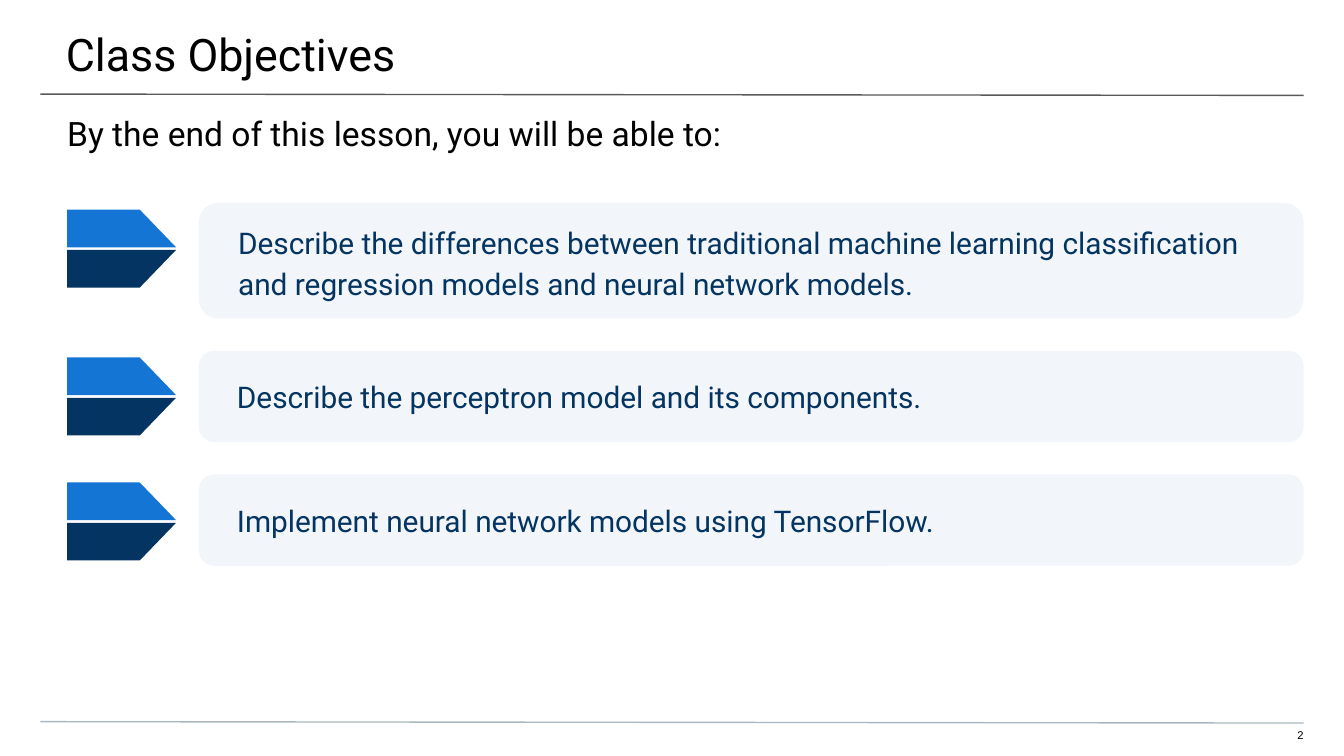
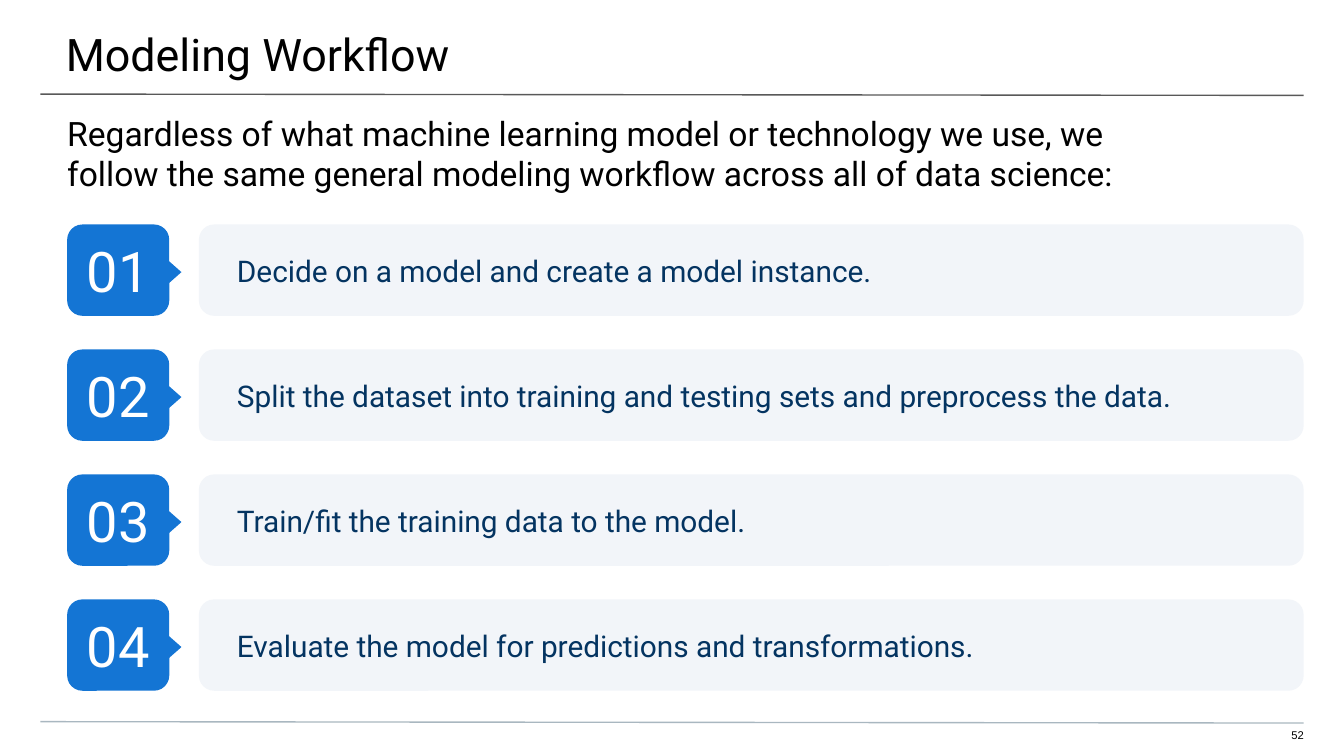
from dataclasses import dataclass

from lxml import etree
from pptx import Presentation
from pptx.dml.color import RGBColor
from pptx.enum.shapes import MSO_CONNECTOR, MSO_SHAPE
from pptx.enum.text import MSO_ANCHOR, PP_ALIGN
from pptx.oxml.ns import qn
from pptx.util import Emu, Pt

STRAIGHT = MSO_CONNECTOR.STRAIGHT
ROUNDED = MSO_SHAPE.ROUNDED_RECTANGLE
TRIANGLE = MSO_SHAPE.FLOWCHART_EXTRACT
TOP, MIDDLE = MSO_ANCHOR.TOP, MSO_ANCHOR.MIDDLE
LEFT, CENTER, RIGHT = PP_ALIGN.LEFT, PP_ALIGN.CENTER, PP_ALIGN.RIGHT

# 100 px to the inch
EMU_PER_PX = 9144
SLIDE_WIDTH = 1000
BLANK_LAYOUT = 6


@dataclass(frozen=True)
class Theme:
    ink: str = "000000"
    white: str = "FFFFFF"
    blue: str = "1475D4"
    navy: str = "043461"
    card: str = "F2F5F9"
    title_rule: str = "595959"
    footer_rule: str = "A9B7C0"
    body_font: str = "Roboto"
    number_font: str = "Arial"
    title_size: int = 24
    intro_size: int = 18
    card_size: int = 16
    badge_size: int = 30
    number_size: int = 6
    rule_width: float = 0.75
    corner: float = 0.167


THEME = Theme()

# Shared row geometry
MARKER_LEFT = 50
CARD_LEFT, CARD_WIDTH, CARD_HEIGHT = 148, 822, 68
TALL_CARD_HEIGHT = 86
OBJECTIVES_TOP, OBJECTIVE_GAP = 151, 24
STEPS_TOP, STEP_PITCH = 167, 93


def px(length):
    return Emu(length * EMU_PER_PX)


def box(*lengths):
    return [px(length) for length in lengths]


def set_all(target, values):
    for name, value in values.items():
        setattr(target, name, value)


def write(shape, text, size, color, insets, font=THEME.body_font,
          align=LEFT, anchor=TOP, spacing=1.0):
    """Fill a shape with one formatted paragraph."""
    left, top, right, bottom = box(*insets)
    frame = shape.text_frame
    set_all(frame, {"word_wrap": True, "vertical_anchor": anchor,
                    "margin_left": left, "margin_top": top,
                    "margin_right": right, "margin_bottom": bottom})
    paragraph = frame.paragraphs[0]
    set_all(paragraph, {"text": text, "alignment": align,
                        "line_spacing": spacing})
    for run in paragraph.runs:
        set_all(run.font, {"name": font, "size": Pt(size)})
        run.font.color.rgb = RGBColor.from_string(color)


def paint(shape, color):
    shape.shadow.inherit = False
    shape.fill.solid()
    shape.fill.fore_color.rgb = RGBColor.from_string(color)
    shape.line.fill.background()


def add_text(slide, bounds, text, size, insets, **formats):
    area = slide.shapes.add_textbox(*box(*bounds))
    write(area, text, size, THEME.ink, insets, **formats)


def add_rule(slide, top, color):
    rule = slide.shapes.add_connector(STRAIGHT, *box(30, top, 970, top + 1))
    rule.line.color.rgb = RGBColor.from_string(color)
    rule.line.width = Pt(THEME.rule_width)
    etree.SubElement(rule.element.spPr, qn("a:effectLst"))


def add_rounded(shapes, bounds, color):
    panel = shapes.add_shape(ROUNDED, *box(*bounds))
    panel.adjustments[0] = THEME.corner
    paint(panel, color)
    return panel


def add_card(slide, top, text, height=CARD_HEIGHT, spacing=1.0):
    card = add_rounded(slide.shapes, (CARD_LEFT, top, CARD_WIDTH, height),
                       THEME.card)
    write(card, text, THEME.card_size, THEME.navy, (25, 10, 10, 10),
          anchor=MIDDLE, spacing=spacing)


def add_arrow_half(slide, outer, inner, color):
    """Half an arrow, with its tip on the inner edge."""
    outline = slide.shapes.build_freeform(MARKER_LEFT, outer, EMU_PER_PX)
    outline.add_line_segments([(MARKER_LEFT, inner), (131, inner),
                               (104, outer)])
    paint(outline.convert_to_shape(), color)


def add_split_arrow(slide, top):
    add_arrow_half(slide, top, top + 28, THEME.blue)
    add_arrow_half(slide, top + 58, top + 30, THEME.navy)


def add_badge(slide, top, number):
    badge = slide.shapes.add_group_shape()
    square = add_rounded(badge.shapes, (MARKER_LEFT, top, 76, CARD_HEIGHT),
                         THEME.blue)
    write(square, f"{number:02d}", THEME.badge_size, THEME.white,
          (10, 10, 10, 10), align=CENTER, anchor=MIDDLE)
    pointer = badge.shapes.add_shape(TRIANGLE, *box(106, top + 25, 37, 21))
    pointer.rotation = 90
    paint(pointer, THEME.blue)


def add_lesson_slide(deck, title, intro, number):
    """Blank slide with the title, rules, intro and page number."""
    slide = deck.slides.add_slide(deck.slide_layouts[BLANK_LAYOUT])
    add_text(slide, (941, 542, 29, 12), number, THEME.number_size,
             (0, 0, 0, 10), font=THEME.number_font, align=RIGHT)
    add_rule(slide, 70, THEME.title_rule)
    add_rule(slide, 537, THEME.footer_rule)
    add_text(slide, (-1, 0, 1003, 58), title, THEME.title_size,
             (50, 20, 30, 10))
    add_text(slide, (0, 74, SLIDE_WIDTH, 40), intro, THEME.intro_size,
             (50, 10, 50, 0))
    return slide


def build_objectives(deck):
    slide = add_lesson_slide(
        deck, "Class Objectives",
        "By the end of this lesson, you will be able to:", "2")
    # Text, card height, line spacing, drop of the arrow below the card top
    objectives = [
        ("Describe the differences between traditional machine learning "
         "classification and regression models and neural network models.",
         TALL_CARD_HEIGHT, 1.15, 5),
        ("Describe the perceptron model and its components.",
         CARD_HEIGHT, 1.0, 5),
        ("Implement neural network models using TensorFlow.",
         CARD_HEIGHT, 1.0, 6),
    ]
    top = OBJECTIVES_TOP
    for objective, height, spacing, arrow_drop in objectives:
        add_split_arrow(slide, top + arrow_drop)
        add_card(slide, top, objective, height, spacing)
        top += height + OBJECTIVE_GAP


def build_workflow(deck):
    slide = add_lesson_slide(
        deck, "Modeling Workflow",
        "Regardless of what machine learning model or technology we use, we \n"
        "follow the same general modeling workflow across all of data science:",
        "52")
    steps = [
        "Decide on a model and create a model instance.",
        "Split the dataset into training and testing sets and preprocess "
        "the data.",
        "Train/fit the training data to the model.",
        "Evaluate the model for predictions and transformations.",
    ]
    for index, step in enumerate(steps):
        top = STEPS_TOP + index * STEP_PITCH
        add_badge(slide, top, index + 1)
        add_card(slide, top, step)


def main():
    deck = Presentation()
    # Widescreen, 16:9
    set_all(deck, {"slide_width": px(SLIDE_WIDTH),
                   "slide_height": px(SLIDE_WIDTH) * 9 // 16})
    build_objectives(deck)
    build_workflow(deck)
    deck.save("out.pptx")


if __name__ == "__main__":
    main()
